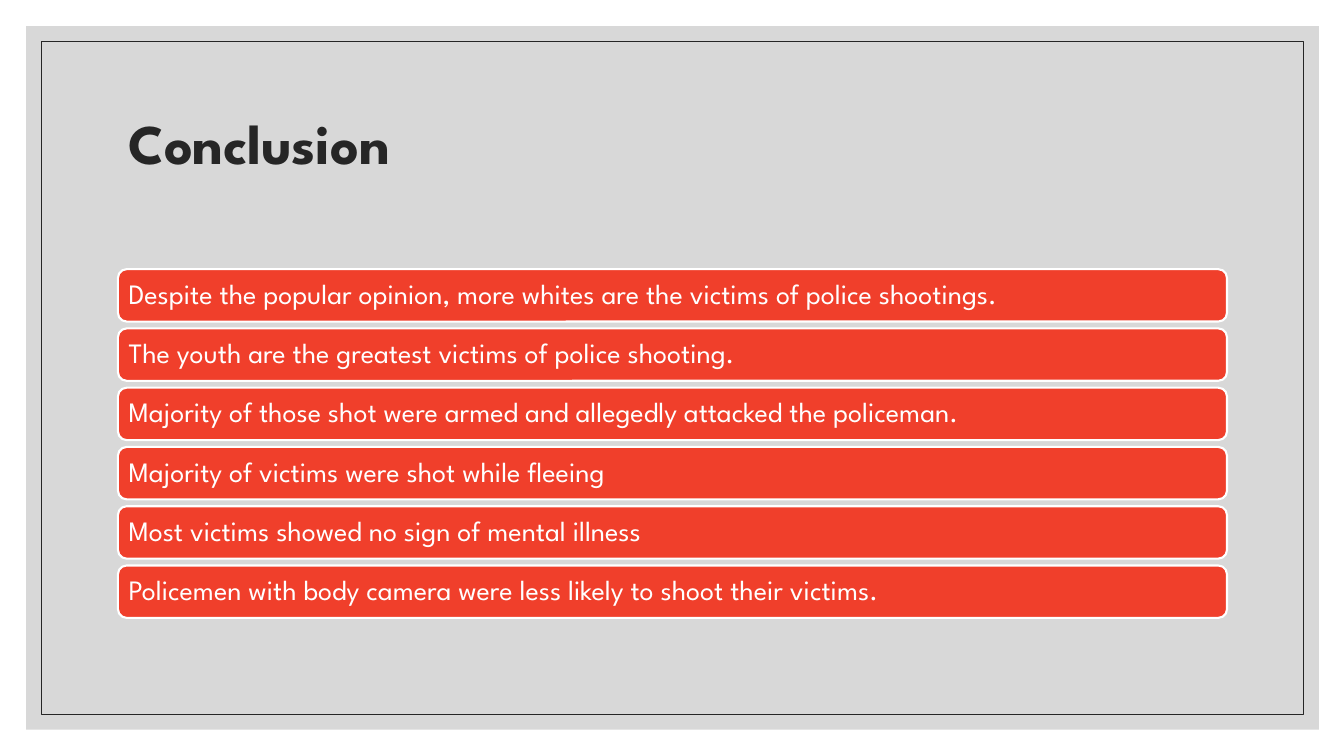
from pptx import Presentation
from pptx.dml.color import RGBColor
from pptx.enum.shapes import MSO_SHAPE
from pptx.enum.text import MSO_ANCHOR, PP_ALIGN
from pptx.oxml.ns import qn
from pptx.util import Inches, Pt
from lxml.etree import SubElement

FONT = "League Spartan"
RED = RGBColor(0xF0, 0x3F, 0x2B)
WHITE = RGBColor(0xFF, 0xFF, 0xFF)
GREY = RGBColor(0xBF, 0xBF, 0xBF)
DARK = RGBColor(0x26, 0x26, 0x26)

LEFT, WIDTH = 1.17, 11
BAR_TOP, BAR_HEIGHT, BAR_PITCH = 2.67, 0.52, 0.588

CONCLUSIONS = [
    "Despite the popular opinion, more whites are the victims of police shootings.",
    "The youth are the greatest victims of police shooting.",
    "Majority of those shot were armed and allegedly attacked the policeman.",
    "Majority of victims were shot while fleeing",
    "Most victims showed no sign of mental illness",
    "Policemen with body camera were less likely to shoot their victims.",
]


def add_box(page, kind, left, top, width, height, fill=None, line=None, line_width=0):
    box = page.shapes.add_shape(
        kind, Inches(left), Inches(top), Inches(width), Inches(height))
    box.shadow.inherit = False
    if fill is None:
        box.fill.background()
    else:
        box.fill.solid()
        box.fill.fore_color.rgb = fill
    if line is None:
        box.line.fill.background()
    else:
        box.line.color.rgb = line
        box.line.width = Pt(line_width)
    return box


def set_opacity(box, percent):
    color = box.element.spPr.find(qn("a:solidFill"))[0]
    SubElement(color, qn("a:alpha")).set("val", str(percent * 1000))


def write_text(box, text, size, color, bold=False):
    frame = box.text_frame
    frame.text = text
    frame.word_wrap = True
    frame.vertical_anchor = MSO_ANCHOR.MIDDLE
    paragraph = frame.paragraphs[0]
    paragraph.alignment = PP_ALIGN.LEFT
    paragraph.line_spacing = 0.9
    paragraph.font.name = FONT
    paragraph.font.size = Pt(size)
    paragraph.font.bold = bold
    paragraph.font.color.rgb = color


def add_background(page):
    panel = add_box(page, MSO_SHAPE.RECTANGLE, 0.26, 0.26, 12.82, 6.98, fill=GREY)
    set_opacity(panel, 60)
    add_box(page, MSO_SHAPE.RECTANGLE, 0.41, 0.41, 12.52, 6.68, line=DARK, line_width=0.5)


def add_title(page, text):
    title = page.shapes.title
    title.left, title.top = Inches(LEFT), Inches(0.7)
    title.width, title.height = Inches(WIDTH), Inches(1.5)
    write_text(title, text, 40, DARK, bold=True)
    page.shapes.element.append(title.element)


def add_bar(page, top, text):
    bar = add_box(page, MSO_SHAPE.ROUNDED_RECTANGLE, LEFT, top, WIDTH, BAR_HEIGHT,
                  fill=RED, line=WHITE, line_width=1.5)
    write_text(bar, text, 20, WHITE)
    frame = bar.text_frame
    frame.margin_left = frame.margin_right = Inches(0.08)
    frame.margin_top = frame.margin_bottom = Inches(0.08)


def main():
    deck = Presentation()
    deck.slide_width, deck.slide_height = Inches(13.33), Inches(7.5)
    page = deck.slides.add_slide(deck.slide_layouts[5])
    add_background(page)
    add_title(page, "Conclusion")
    for index, text in enumerate(CONCLUSIONS):
        add_bar(page, BAR_TOP + index * BAR_PITCH, text)
    deck.save("out.pptx")


if __name__ == "__main__":
    main()
